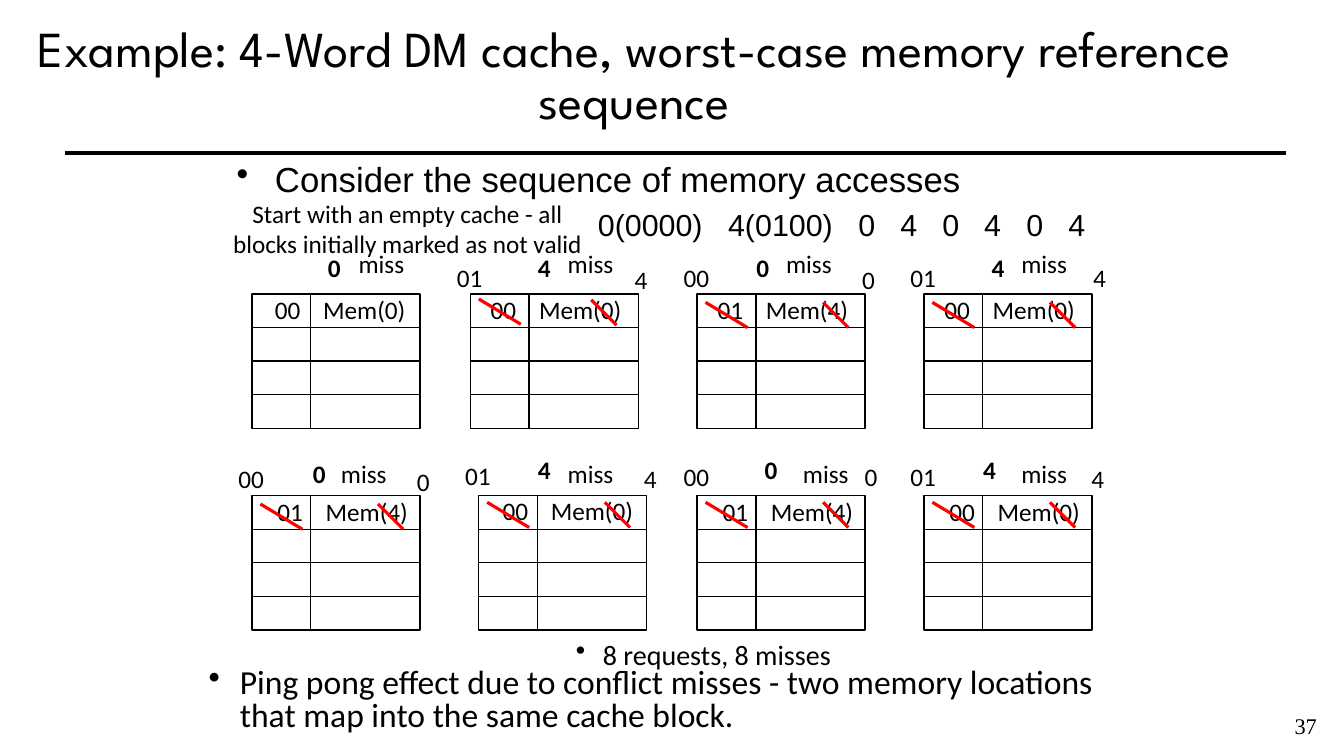
from lxml import etree
from pptx import Presentation
from pptx.dml.color import RGBColor
from pptx.enum.shapes import MSO_CONNECTOR, MSO_SHAPE
from pptx.enum.text import MSO_ANCHOR, PP_ALIGN
from pptx.oxml.ns import qn
from pptx.util import Inches, Pt

STRAIGHT = MSO_CONNECTOR.STRAIGHT
RECTANGLE = MSO_SHAPE.RECTANGLE
LEFT, CENTER = PP_ALIGN.LEFT, PP_ALIGN.CENTER
TOP, MIDDLE = MSO_ANCHOR.TOP, MSO_ANCHOR.MIDDLE

COLORS = {"ink": "000000", "slash": "FF0000"}
COLUMNS, ROWS = 160, 90
TAG_WIDTH, BLOCK_WIDTH, ROW_HEIGHT, BLOCKS = 7, 13, 4, 4
CONTENT_WIDTH = 18.12

# Offsets from each cache's corner: reference, "miss", content,
# tag slash, block slash, new tag, new address.
CACHES = [
    (30, 35, (9.8, -5.5), (15.4, -6), (10.6, -0.6)),
    (56, 35, (8.8, -5.5), (14.3, -6), (10.3, -0.6),
     (1, 0.6), (14.4, 0.7), (-0.1, -4.3), (20.3, -4.1)),
    (83, 35, (7.8, -5.5), (13.3, -6), (10.3, -0.6),
     (1, 1), (15, 1), (-0.1, -4.3), (20.4, -4.1)),
    (110, 35, (8.8, -5.5), (14.3, -6), (10.3, -0.5),
     (1, 1), (15, 1), (-0.1, -4.3), (20.9, -4.3)),
    (30, 59, (8, -5), (13.3, -5), (10.9, -0.5),
     (1, 1), (15, 1), (-0.1, -4.4), (20.4, -4.1)),
    (57, 59, (7.8, -5.5), (13.3, -5), (10.7, -0.6),
     (1, 0.8), (15, 0.8), (-0.1, -4.8), (20.4, -4.4)),
    (83, 59, (8.8, -5.5), (15.3, -5), (10.9, -0.5),
     (1, 0.8), (15, 0.8), (-0.1, -4.7), (20.7, -4.7)),
    (110, 59, (7.8, -5.5), (14.3, -5), (10.9, -0.5),
     (1, 0.8), (15, 0.8), (-0.1, -4.7), (20.7, -4.4)),
]
TAGS = {0: "00", 4: "01"}


class CachePage:
    """Draws on one slide, with lengths in columns and rows of the grid."""

    def __init__(self, deck):
        self.page = deck.slides.add_slide(deck.slide_layouts[6])
        self.column = deck.slide_width / COLUMNS
        self.row = deck.slide_height / ROWS

    def across(self, columns):
        return round(columns * self.column)

    def down(self, rows):
        return round(rows * self.row)

    def text(self, text, left, top, width, height, size=18, font="Calibri",
             bold=False, align=LEFT, anchor=TOP, wrap=True, spacing=None,
             bullet=None, margin=None, indent=0, level=0, tabs=(), insets=None):
        box = self.page.shapes.add_textbox(self.across(left), self.down(top),
                                           self.across(width), self.down(height))
        frame = box.text_frame
        frame.word_wrap, frame.vertical_anchor = wrap, anchor
        if insets:
            frame.margin_left = frame.margin_right = Inches(insets[0])
            frame.margin_top = frame.margin_bottom = Inches(insets[1])
        para = frame.paragraphs[0]
        para.alignment, para.level = align, level
        if spacing:
            para.line_spacing = spacing
        properties = para._p.get_or_add_pPr()
        if margin is not None:
            properties.set("marL", str(Inches(margin)))
            properties.set("indent", str(Inches(indent)))
        if bullet:
            etree.SubElement(properties, qn("a:buChar"), char=bullet)
        if tabs:
            stops = etree.SubElement(properties, qn("a:tabLst"))
            for stop in tabs:
                etree.SubElement(stops, qn("a:tab"), pos=str(self.across(stop)), algn="l")
        span = para.add_run()
        span.text = text
        span.font.name, span.font.size, span.font.bold = font, Pt(size), bold
        span.font.color.rgb = RGBColor.from_string(COLORS["ink"])

    def label(self, text, center, top, bold=False):
        width = 8
        self.text(text, center - width / 2, top, width, 4.8,
                  bold=bold, align=CENTER, wrap=False)

    def line(self, x1, y1, x2, y2, weight=1, color="ink"):
        line = self.page.shapes.add_connector(
            STRAIGHT, self.across(x1), self.down(y1), self.across(x2), self.down(y2))
        line.line.width = Pt(weight)
        line.line.color.rgb = RGBColor.from_string(COLORS[color])
        etree.SubElement(line._element.spPr, qn("a:effectLst"))
        return line

    def cell_stack(self, left, top, width):
        """Outline of one cache column, ruled into equal blocks."""
        stack = self.page.shapes.add_shape(
            RECTANGLE, self.across(left), self.down(top),
            self.across(width), self.down(BLOCKS * ROW_HEIGHT))
        stack.shadow.inherit = False
        stack.fill.background()
        stack.line.width = Pt(1)
        stack.line.color.rgb = RGBColor.from_string(COLORS["ink"])
        for block in range(1, BLOCKS):
            height = top + block * ROW_HEIGHT
            rule = self.line(left, height, left + width, height)
            if block == BLOCKS / 2:
                rule.begin_connect(stack, 1)
                rule.end_connect(stack, 3)

    def cache(self, address, stored, left, top, reference, miss, content, *update):
        """One cache state; update places the slashes and the new entry."""
        def at(offset):
            return left + offset[0], top + offset[1]

        self.cell_stack(left, top, TAG_WIDTH)
        self.cell_stack(left + TAG_WIDTH, top, BLOCK_WIDTH)
        self.label(str(address), *at(reference), bold=True)
        self.label("miss", *at(miss))
        middle, height = at(content)
        self.text(f"{TAGS[stored]}\tMem({stored})", middle - CONTENT_WIDTH / 2,
                  height, CONTENT_WIDTH + 2, 4.8, tabs=[5.75])
        if update:
            tag_slash, block_slash, new_tag, new_address = map(at, update)
            for (x, y), width in ((tag_slash, 5), (block_slash, 3)):
                self.line(x, y, x + width, y + 3, weight=2.25, color="slash")
            self.label(TAGS[address], *new_tag)
            self.label(str(address), *new_address)


def main():
    deck = Presentation()
    deck.slide_width, deck.slide_height = Inches(13.333), Inches(7.5)
    page = CachePage(deck)

    page.line(153.1, 18.2, 7.8, 18.2, weight=3)
    page.text("Example: 4-Word DM cache, worst-case memory reference sequence",
              0, 1.8, 151, 15, size=36, font="League Spartan",
              align=CENTER, anchor=MIDDLE, spacing=0.85)
    page.text("Consider the sequence of memory accesses", 27, 18.2, 107, 5.5,
              size=24.8, font="Arial", bullet="•", margin=0.38, indent=-0.38)

    addresses = [0, 4] * 4
    sequence = ["0(0000)", "4(0100)"] + [str(address) for address in addresses[2:]]
    page.text("\t".join(sequence), 70, 23.9, 64, 5, size=21.7, font="Arial",
              tabs=[15.5] + [31 + 5 * step for step in range(6)])

    stored = addresses[0]
    for address, layout in zip(addresses, CACHES):
        page.cache(address, stored, *layout)
        stored = address

    page.text("Start with an empty cache - all blocks initially marked as not valid",
              26, 23, 45, 8.5, align=CENTER)
    page.text("Ping pong effect due to conflict misses - two memory locations "
              "that map into the same cache block.", 24, 79.3, 107, 8.6, size=24,
              spacing=0.8, bullet="•", margin=0.31, indent=-0.31, insets=(0.07, 0.03))
    page.text("8 requests, 8 misses", 27, 75.5, 107, 4.7, size=20, align=CENTER,
              bullet="•", margin=0.81, indent=-0.27, level=1, insets=(0.07, 0.03))
    page.text("37", 152, 84.2, 6.9, 4.6, size=16, font="Times New Roman", align=CENTER)

    deck.save("out.pptx")


if __name__ == "__main__":
    main()
